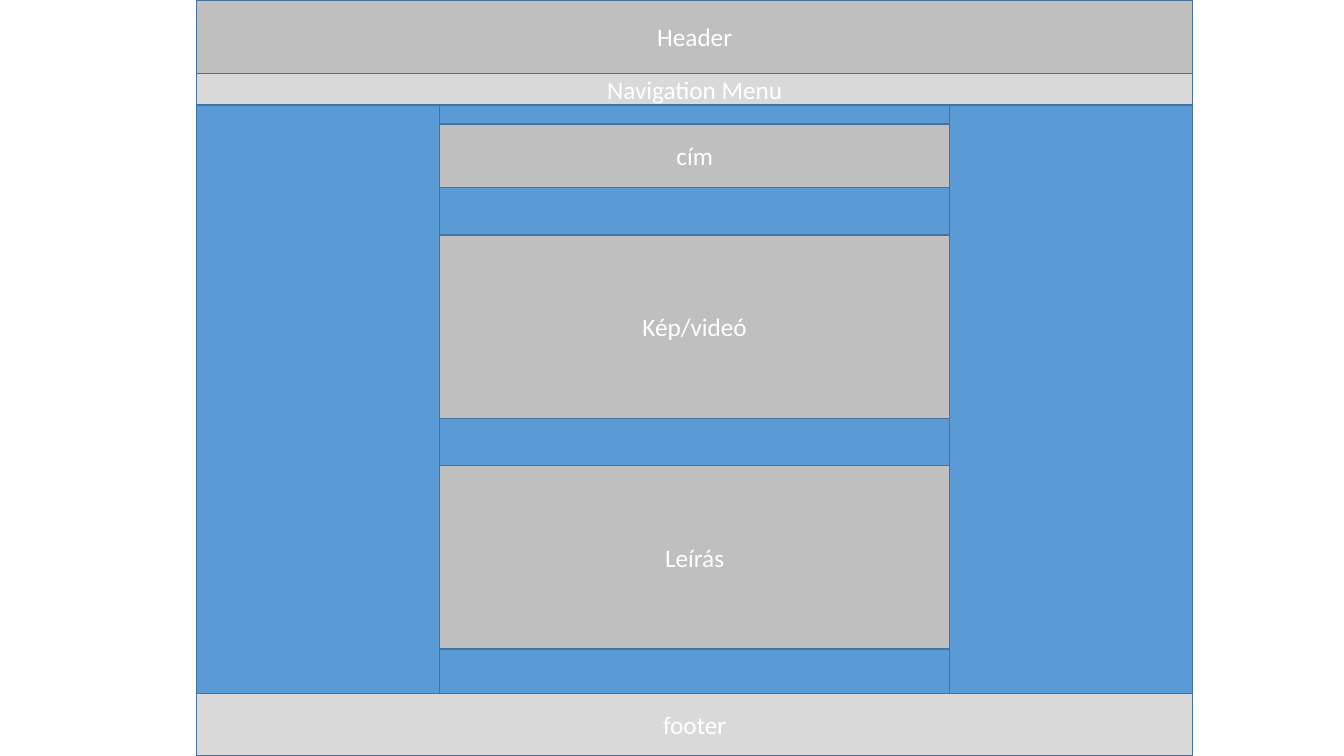
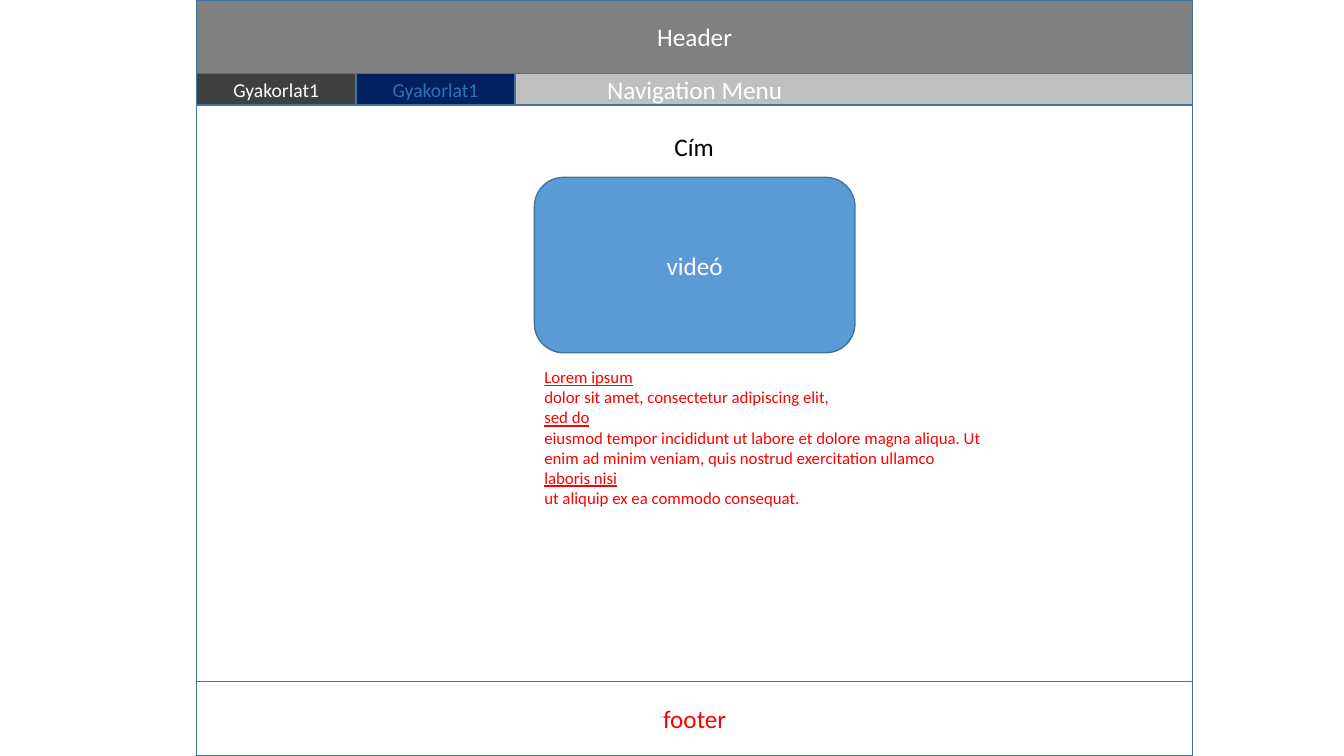
from collections import namedtuple

from pptx import Presentation
from pptx import util as u
from pptx.dml.color import RGBColor
from pptx.enum import shapes, text

COLORS = {
    "white": "FFFFFF", "black": "000000", "red": "FF0000",
    "light": "D9D9D9", "silver": "BFBFBF", "gray": "808080", "dark": "404040",
    "blue": "5B9BD5", "outline": "43739E", "navy": "002060", "link": "2E75B6",
}
FONT = "Calibri"
HEADER_H, MENU_H = 0.73, 0.31
TOP_H = HEADER_H + MENU_H

Box = namedtuple("Box", "x y w h")
RECT = shapes.MSO_SHAPE.RECTANGLE
ROUNDED = shapes.MSO_SHAPE.ROUNDED_RECTANGLE


def color(name):
    return RGBColor.from_string(COLORS[name])


def inches(box):
    return [u.Inches(v) for v in box]


def style(p, size, font_color, underline=False):
    for r in p.runs:
        r.font.name = FONT
        r.font.size = u.Pt(size)
        r.font.color.rgb = color(font_color)
        r.font.underline = underline


def add_block(s, box, fill=None, label="", size=18, font_color="white", kind=RECT):
    sp = s.shapes.add_shape(kind, *inches(box))
    sp.shadow.inherit = False
    if fill:
        sp.fill.solid()
        sp.fill.fore_color.rgb = color(fill)
    else:
        sp.fill.background()
    sp.line.color.rgb = color("outline")
    sp.line.width = u.Pt(1)
    if label:
        tf = sp.text_frame
        tf.text = label
        tf.vertical_anchor = text.MSO_ANCHOR.MIDDLE
        p = tf.paragraphs[0]
        p.alignment = text.PP_ALIGN.CENTER
        style(p, size, font_color)


def add_text(s, box, lines, size, font_color, wrap=True):
    sp = s.shapes.add_textbox(*inches(box))
    tf = sp.text_frame
    tf.word_wrap = wrap
    tf.auto_size = text.MSO_AUTO_SIZE.SHAPE_TO_FIT_TEXT
    tf.text = "\n".join(line for line, _ in lines)
    for p, (_, underline) in zip(tf.paragraphs, lines):
        style(p, size, font_color, underline)


def add_frame(s, page, header_fill, menu_fill, body_fill=None):
    add_block(s, Box(page.x, page.y, page.w, HEADER_H), header_fill, "Header")
    add_block(s, Box(page.x, page.y + HEADER_H, page.w, MENU_H), menu_fill,
              "Navigation Menu")
    add_block(s, Box(page.x, page.y + TOP_H, page.w, page.h - TOP_H), body_fill)


def add_footer(s, page, height, fill=None, font_color="white"):
    box = Box(page.x, page.y + page.h - height, page.w, height)
    add_block(s, box, fill, "footer", font_color=font_color)


def add_sections(s, box):
    gap, top = 0.47, box.y + 0.19
    for label, height in [("cím", 0.63), ("Kép/videó", 1.82), ("Leírás", 1.82)]:
        add_block(s, Box(box.x, top, box.w, height), "silver", label)
        top += height + gap


def add_tabs(s, box):
    tabs = [("dark", "white"), ("navy", "link")]
    for i, (fill, font_color) in enumerate(tabs):
        tab = Box(box.x + i * box.w, box.y, box.w, box.h)
        add_block(s, tab, fill, "Gyakorlat1", 14, font_color)


def add_article(s, box):
    add_text(s, Box(box.x + 1.29, box.y, 0.6, 0.4), [("Cím", False)],
             18, "black", wrap=False)
    add_block(s, Box(box.x, box.y + 0.51, 3.18, 1.74), "blue", "videó", kind=ROUNDED)
    description = [
        ("Lorem ipsum", True),
        ("dolor sit amet, consectetur adipiscing elit,", False),
        ("sed do", True),
        ("eiusmod tempor incididunt ut labore et dolore magna aliqua. "
         "Ut enim ad minim veniam, quis nostrud exercitation ullamco", False),
        ("laboris nisi", True),
        ("ut aliquip ex ea commodo consequat.", False),
    ]
    add_text(s, Box(box.x, box.y + 2.34, box.w, 1.82), description, 12, "red")


def build_wireframe(s, page):
    side_w, footer_h = 2.41, 0.62
    body = Box(page.x, page.y + TOP_H, page.w, page.h - TOP_H - footer_h)
    add_frame(s, page, "silver", "light", "blue")
    add_sections(s, Box(body.x + side_w, body.y, body.w - 2 * side_w, body.h))
    add_footer(s, page, footer_h, "light")
    for x in (body.x, body.x + body.w - side_w):
        add_block(s, Box(x, body.y, side_w, body.h), "blue")


def build_mockup(s, page):
    add_frame(s, page, "gray", "silver")
    add_article(s, Box(page.x + 3.35, page.y + 1.25, 4.62, 4.16))
    add_footer(s, page, 0.74, font_color="red")
    add_tabs(s, Box(page.x, page.y + HEADER_H, 1.58, MENU_H))


prs = Presentation()
prs.slide_width, prs.slide_height = u.Inches(13.33), u.Inches(7.5)
for build in (build_wireframe, build_mockup):
    build(prs.slides.add_slide(prs.slide_layouts[6]), Box(1.95, 0, 9.88, 7.5))
prs.save("out.pptx")
